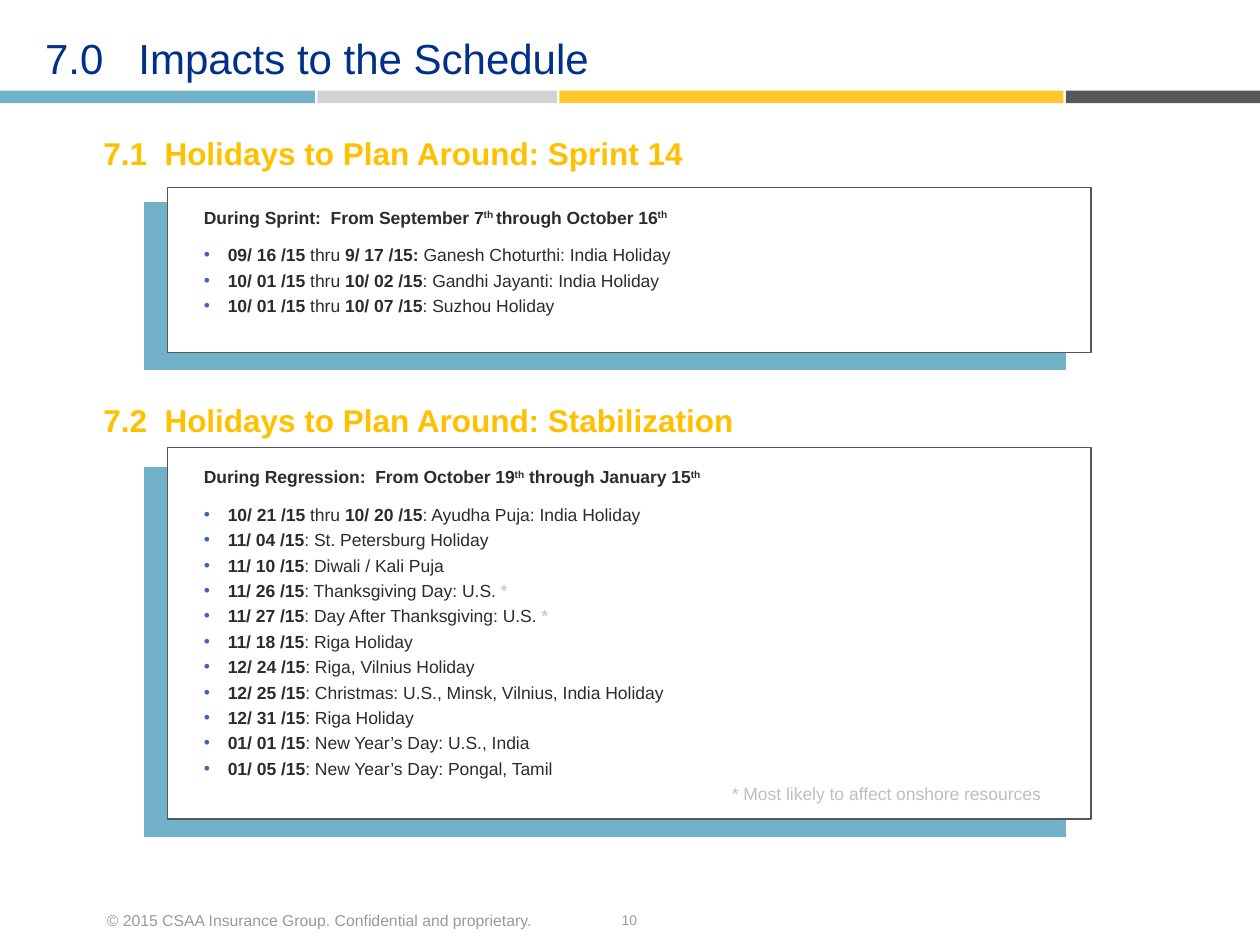
from lxml import etree
from pptx import Presentation
from pptx.dml.color import RGBColor
from pptx.enum import shapes, text
from pptx.oxml.ns import qn
from pptx.util import Inches, Pt

COLORS = {
    "navy": "003087", "gold": "FFC000", "ink": "2A2C2D", "muted": "BFBFBF",
    "footer": "979B9E", "blue": "71B2C9", "silver": "D0D3D4",
    "yellow": "FFC72C", "slate": "54585A", "bullet": "4066B2", "white": "FFFFFF",
}

# Content: each line is a list of (style, words) runs
BANDS = [("blue", 2.5), ("silver", 1.9), ("yellow", 4), ("slate", 1.54)]
SPRINT = {
    "heading": [("bold", "During Sprint:  From September 7"), ("super", "th "),
                ("bold", "through October 16"), ("super", "th")],
    "holidays": [
        [("bold", "09/ 16 /15 "), ("plain", "thru"), ("bold", " 9/ 17 /15: "),
         ("plain", "Ganesh Choturthi: India Holiday")],
        [("bold", "10/ 01 /15 "), ("plain", "thru"), ("bold", " 10/ 02 /15"),
         ("plain", ": Gandhi Jayanti: India Holiday")],
        [("bold", "10/ 01 /15 "), ("plain", "thru"), ("bold", " 10/ 07 /15"),
         ("plain", ": Suzhou Holiday")],
    ],
    "footnote": None,
}
STABILIZATION = {
    "heading": [("bold", "During Regression:  From October 19"), ("super", "th"),
                ("bold", " through January 15"), ("super", "th")],
    "holidays": [
        [("bold", "10/ 21 /15"), ("plain", " thru "), ("bold", "10/ 20 /15"),
         ("plain", ": Ayudha Puja: India Holiday")],
        [("bold", "11/ 04 /15"), ("plain", ": St. Petersburg Holiday")],
        [("bold", "11/ 10 /15"), ("plain", ": Diwali / Kali Puja")],
        [("bold", "11/ 26 /15"), ("plain", ": Thanksgiving Day: U.S. "), ("muted", "*")],
        [("bold", "11/ 27 /15"), ("plain", ": Day After Thanksgiving: U.S. "), ("muted", "*")],
        [("bold", "11/ 18 /15"), ("plain", ": Riga Holiday")],
        [("bold", "12/ 24 /15"), ("plain", ": Riga, Vilnius Holiday")],
        [("bold", "12/ 25 /15"), ("plain", ": Christmas: U.S., Minsk, Vilnius, India Holiday")],
        [("bold", "12/ 31 /15"), ("plain", ": Riga Holiday")],
        [("bold", "01/ 01 /15"), ("plain", ": New Year’s Day: U.S., India")],
        [("bold", "01/ 05 /15"), ("plain", ": New Year’s Day: Pongal, Tamil")],
    ],
    "footnote": [("muted", "* Most likely to affect onshore resources")],
}
# (content, panel top and height, backing top and height)
PANELS = [(SPRINT, (1.49, 1.31), (1.6, 1.34)),
          (STABILIZATION, (3.55, 2.95), (3.7, 2.95))]
# (words, box, size, color, format values)
LABELS = [
    ("7.0   Impacts to the Schedule", (0.26, 0, 8.5, 0.97), 24, "navy",
     {"anchor": "MIDDLE", "spacing": 0.9}),
    ("7.1  Holidays to Plan Around: Sprint 14", (0.82, 1.04, 6.66, 0.32), 18, "gold",
     {"anchor": "BOTTOM", "spacing": 1.06, "bold": True, "margin": 0}),
    ("7.2  Holidays to Plan Around: Stabilization", (0.82, 3.18, 8, 0.3), 18, "gold",
     {"anchor": "BOTTOM", "spacing": 1.06, "bold": True, "margin": 0}),
    ("© 2015 CSAA Insurance Group. Confidential and proprietary.",
     (0.75, 7.16, 3.96, 0.28), 9, "footer", {"spacing": 1.15}),
    ("10", (3.83, 7.15, 2.33, 0.3), 8, "footer", {"anchor": "MIDDLE", "align": "CENTER"}),
]


def rgb(name):
    return RGBColor.from_string(COLORS[name])


def set_font(font, size, color, bold=False):
    values = {"name": "Arial", "size": Pt(size), "bold": bold}
    for name, value in values.items():
        setattr(font, name, value)
    font.color.rgb = rgb(color)


def add_rectangle(slide, box, fill, line=None):
    shape = slide.shapes.add_shape(shapes.MSO_SHAPE.RECTANGLE, *map(Inches, box))
    shape.shadow.inherit = False
    shape.fill.solid()
    shape.fill.fore_color.rgb = rgb(fill)
    if line:
        shape.line.color.rgb = rgb(line)
        shape.line.width = Pt(0.75)
    else:
        shape.line.fill.background()
    return shape


def add_label(slide, words, box, size, color, style):
    frame = slide.shapes.add_textbox(*map(Inches, box)).text_frame
    frame.word_wrap = True
    frame.vertical_anchor = text.MSO_ANCHOR[style.get("anchor", "TOP")]
    if "margin" in style:
        for side in ("left", "top", "right", "bottom"):
            setattr(frame, f"margin_{side}", Inches(style["margin"]))
    paragraph = frame.paragraphs[0]
    paragraph.alignment = text.PP_ALIGN[style.get("align", "LEFT")]
    paragraph.line_spacing = style.get("spacing", 1.0)
    run = paragraph.add_run()
    run.text = words
    set_font(run.font, size, color, style.get("bold", False))


def add_line(paragraph, runs, indent, before, bullet=False):
    paragraph.alignment = text.PP_ALIGN.LEFT
    paragraph.space_before = Pt(before)
    properties = paragraph._p.get_or_add_pPr()
    left, hanging = indent
    properties.set("marL", str(Inches(left)))
    properties.set("indent", str(Inches(hanging)))
    if bullet:
        color = etree.SubElement(properties, qn("a:buClr"))
        etree.SubElement(color, qn("a:srgbClr"), val=COLORS["bullet"])
        etree.SubElement(properties, qn("a:buFont"), typeface="Arial")
        etree.SubElement(properties, qn("a:buChar"), char="•")
    for style, words in runs:
        run = paragraph.add_run()
        run.text = words
        set_font(run.font, 10, "muted" if style == "muted" else "ink",
                 style in ("bold", "super"))
        if style == "super":
            run.font._element.set("baseline", "30000")


def add_panel(slide, content, panel, backing):
    add_rectangle(slide, (1.14, backing[0], 7.33, backing[1]), "blue", "white")
    shape = add_rectangle(slide, (1.33, panel[0], 7.33, panel[1]), "white", "slate")
    frame = shape.text_frame
    frame.word_wrap = True
    frame.vertical_anchor = text.MSO_ANCHOR.TOP
    frame.margin_top = Inches(0.15)
    add_line(frame.paragraphs[0], content["heading"], (0.38, -0.19), 0)
    for index, runs in enumerate(content["holidays"]):
        before = 2.5 if index else 9.5
        add_line(frame.add_paragraph(), runs, (0.38, -0.19), before, bullet=True)
    if content["footnote"]:
        add_line(frame.add_paragraph(), content["footnote"], (4.38, 0), 2.5)


def main():
    presentation = Presentation()
    presentation.slide_width, presentation.slide_height = Inches(10), Inches(7.5)
    slide = presentation.slides.add_slide(presentation.slide_layouts[6])

    # Color bands under the title
    left = 0
    for color, width in BANDS:
        add_rectangle(slide, (left, 0.72, width, 0.1), color)
        left += width + 0.02

    # Title, section headings and footer
    for label in LABELS:
        add_label(slide, *label)

    # Holiday panels with their offset backings
    for panel in PANELS:
        add_panel(slide, *panel)

    presentation.save("out.pptx")


if __name__ == "__main__":
    main()
